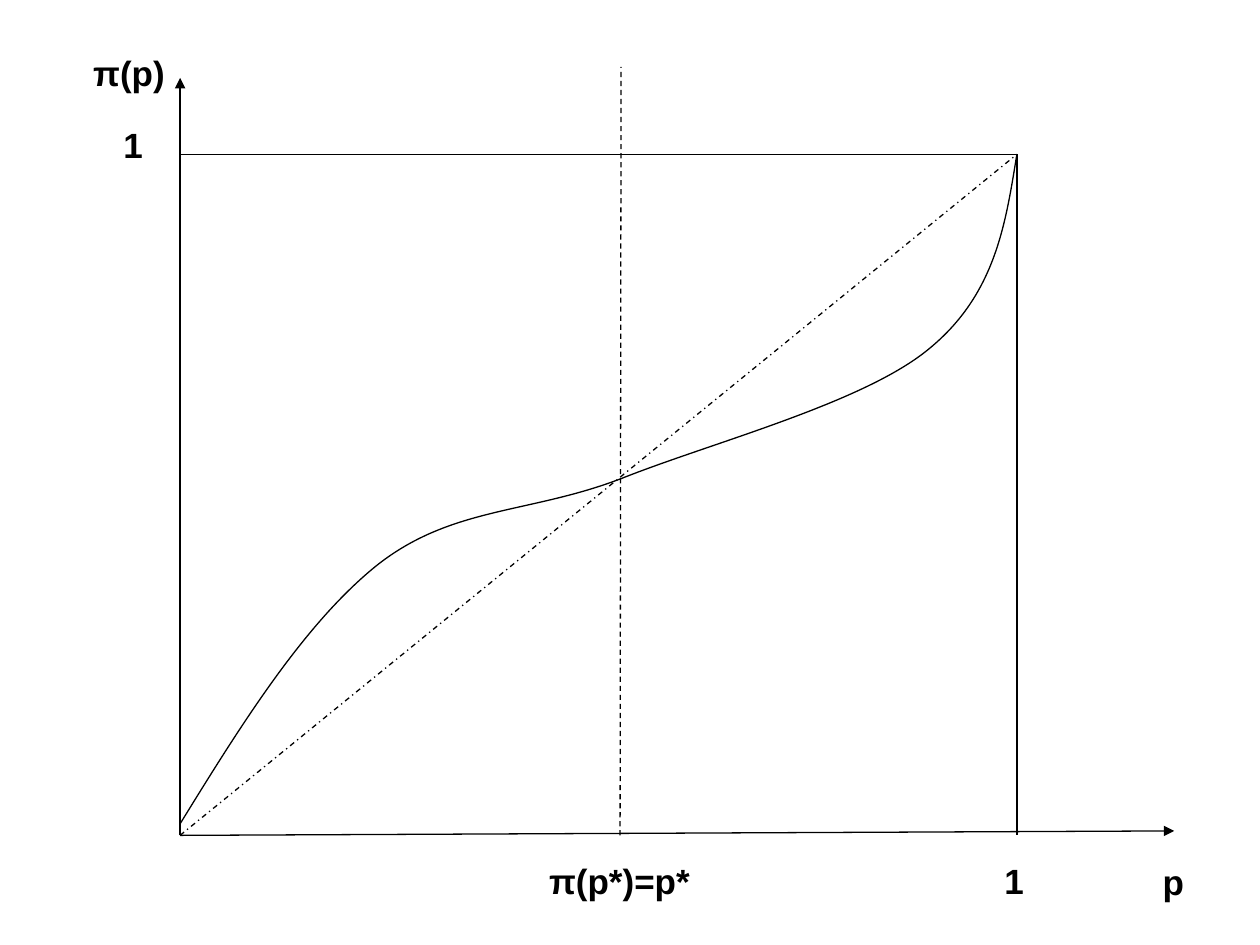
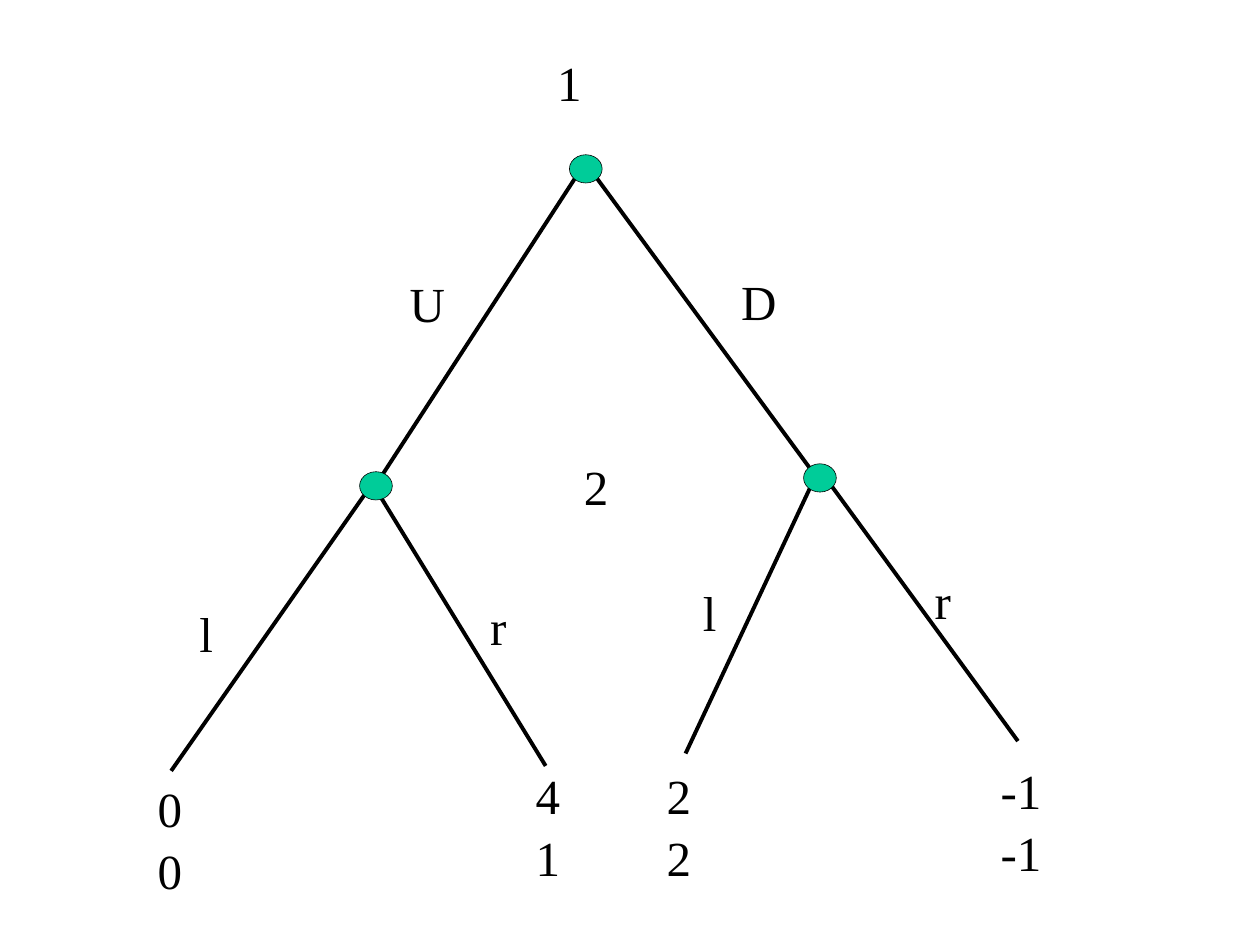
from itertools import islice

from pptx import Presentation
from pptx.dml.color import RGBColor
from pptx.enum.dml import MSO_LINE
from pptx.enum.shapes import MSO_CONNECTOR, MSO_SHAPE
from pptx.enum.text import MSO_AUTO_SIZE
from pptx.oxml.ns import qn
from pptx.util import Cm, Pt
from lxml import etree

COLORS = {"ink": "000000", "node": "00CC99"}
INK = RGBColor.from_string(COLORS["ink"])


def add_line(shapes, start, end, weight, dash=None, arrow=False):
    line = shapes.add_connector(MSO_CONNECTOR.STRAIGHT, *map(Cm, start + end))
    line.line.color.rgb = INK
    line.line.width = Pt(weight)
    if dash:
        line.line.dash_style = dash
    if arrow:
        etree.SubElement(line.line._get_or_add_ln(), qn("a:tailEnd"), type="triangle")
    etree.SubElement(line._element.spPr, qn("a:effectLst"))


def add_label(shapes, text, box, font, size, bold=False, inset=(0, 0)):
    """Place one line of text; inset is the (side, top and bottom) margin in cm."""
    frame = shapes.add_textbox(*map(Cm, box)).text_frame
    frame.word_wrap = False
    frame.auto_size = MSO_AUTO_SIZE.SHAPE_TO_FIT_TEXT
    frame.margin_left = frame.margin_right = Cm(inset[0])
    frame.margin_top = frame.margin_bottom = Cm(inset[1])
    run = frame.paragraphs[0].add_run()
    run.text = text
    run.font.name = font
    run.font.size = Pt(size)
    run.font.bold = bold
    run.font.color.rgb = INK


prs = Presentation()
prs.slide_width, prs.slide_height = Cm(25.4), Cm(19.05)
blank = prs.slide_layouts[6]

# Slide 1: probability weighting function
plot = prs.slides.add_slide(blank).shapes.add_group_shape().shapes
origin = (3.63, 16.84)
one_x, one_y = 20.5, 3.11
corner = (one_x, one_y)

for start, end, dash, arrow in [
    (origin, (23.67, 16.75), None, True),
    (origin, (origin[0], 1.57), None, True),
    ((12.5, origin[1]), (12.52, 1.35), MSO_LINE.DASH, False),
    (origin, corner, MSO_LINE.DASH_DOT, False),
    ((origin[0], one_y), corner, None, False),
    (corner, (one_x, origin[1]), None, False),
]:
    add_line(plot, start, end, 0.75, dash, arrow)

# Each row holds two control points and the end of one Bézier piece
weighting_pieces = [
    (4.88, 14.58), (6.15, 12.55), (7.62, 11.38),
    (9.12, 10.21), (10.67, 10.36), (12.52, 9.65),
    (14.35, 8.92), (17.4, 8.13), (18.72, 7.04),
    (20.07, 5.94), (20.27, 4.52), corner,
]
outline = plot.build_freeform(Cm(origin[0]), Cm(16.61))
outline.add_line_segments([(Cm(x), Cm(y)) for x, y in weighting_pieces], close=False)
weighting = outline.convert_to_shape()
weighting.shadow.inherit = False
weighting.fill.background()
weighting.line.color.rgb = INK
weighting.line.width = Pt(0.75)

# Turn every three straight segments into one Bézier segment
curve = next(weighting._element.iter(qn("a:path")))
segments = iter(curve.findall(qn("a:lnTo")))
while piece := list(islice(segments, 3)):
    bezier = etree.SubElement(curve, qn("a:cubicBezTo"))
    for segment in piece:
        bezier.append(segment[0])
        curve.remove(segment)

for text, x, y, width in [
    ("p", 23.19, 17.22, 0.94),
    ("π(p)", 1.63, 0.91, 1.96),
    ("π(p*)=p*", 10.82, 17.2, 3.35),
    ("1", 20, 17.2, 0.89),
    ("1", 2.24, 2.37, 0.89),
]:
    add_label(plot, text, (x, y, width, 1.12), "Arial", 20, True, (0.25, 0.13))

# Slide 2: game tree
tree = prs.slides.add_slide(blank).shapes

for start, end in [
    ((11.86, 3.18), (7.67, 9.63)),
    ((11.89, 3.4), (16.43, 9.58)),
    ((7.47, 9.8), (3.45, 15.54)),
    ((7.54, 9.8), (11, 15.44)),
    ((16.51, 9.45), (13.82, 15.19)),
    ((16.51, 9.45), (20.52, 14.94)),
]:
    add_line(tree, start, end, 2.25)

for x, y in [(16.2, 9.35), (7.25, 9.51), (11.48, 3.12)]:
    node = tree.add_shape(MSO_SHAPE.OVAL, Cm(x), Cm(y), Cm(0.66), Cm(0.57))
    node.shadow.inherit = False
    node.fill.solid()
    node.fill.fore_color.rgb = RGBColor.from_string(COLORS["node"])
    node.line.color.rgb = INK
    node.line.width = Pt(0.34)

tree_labels = [
    ("1", 11.23, 1.06, 0.5),
    ("2", 11.77, 9.21, 0.5),
    ("U", 8.26, 5.51, 0.72),
    ("D", 14.94, 5.47, 0.72),
    ("l", 4.02, 12.17, 0.28),
    ("r", 9.88, 12.03, 0.33),
    ("l", 14.17, 11.74, 0.28),
    ("r", 18.84, 11.51, 0.33),
]
for payoffs, x, y, width in [
    (("0", "0"), 3.18, 15.7, 0.5),
    (("4", "1"), 10.8, 15.43, 0.5),
    (("2", "2"), 13.44, 15.43, 0.5),
    (("-1", "-1"), 20.17, 15.34, 0.9),
]:
    for player, payoff in enumerate(payoffs):
        tree_labels.append((payoff, x, y + player * 1.25, width))

for text, x, y, width in tree_labels:
    add_label(tree, text, (x, y, width, 1.19), "Times New Roman", 28)

prs.save("out.pptx")
